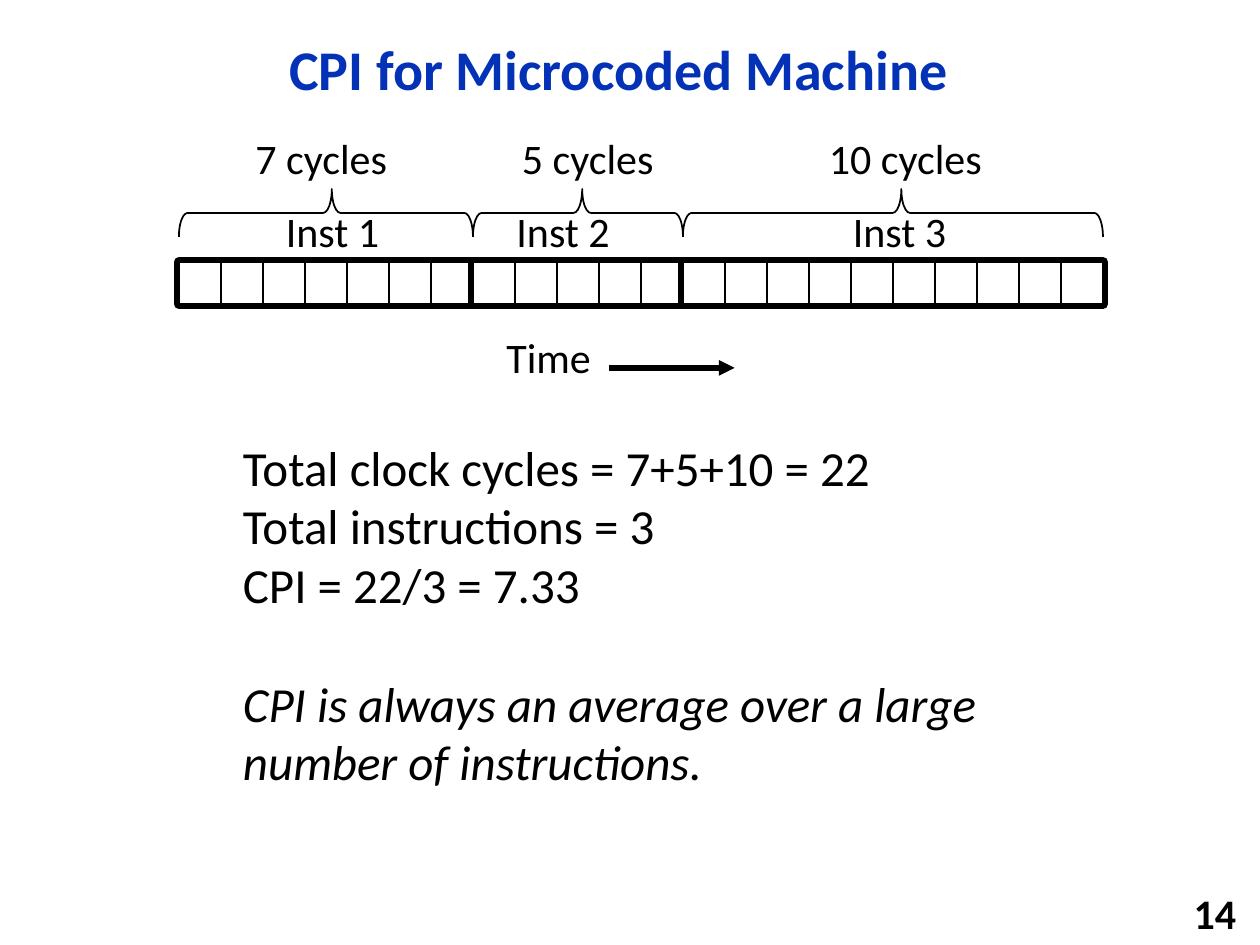
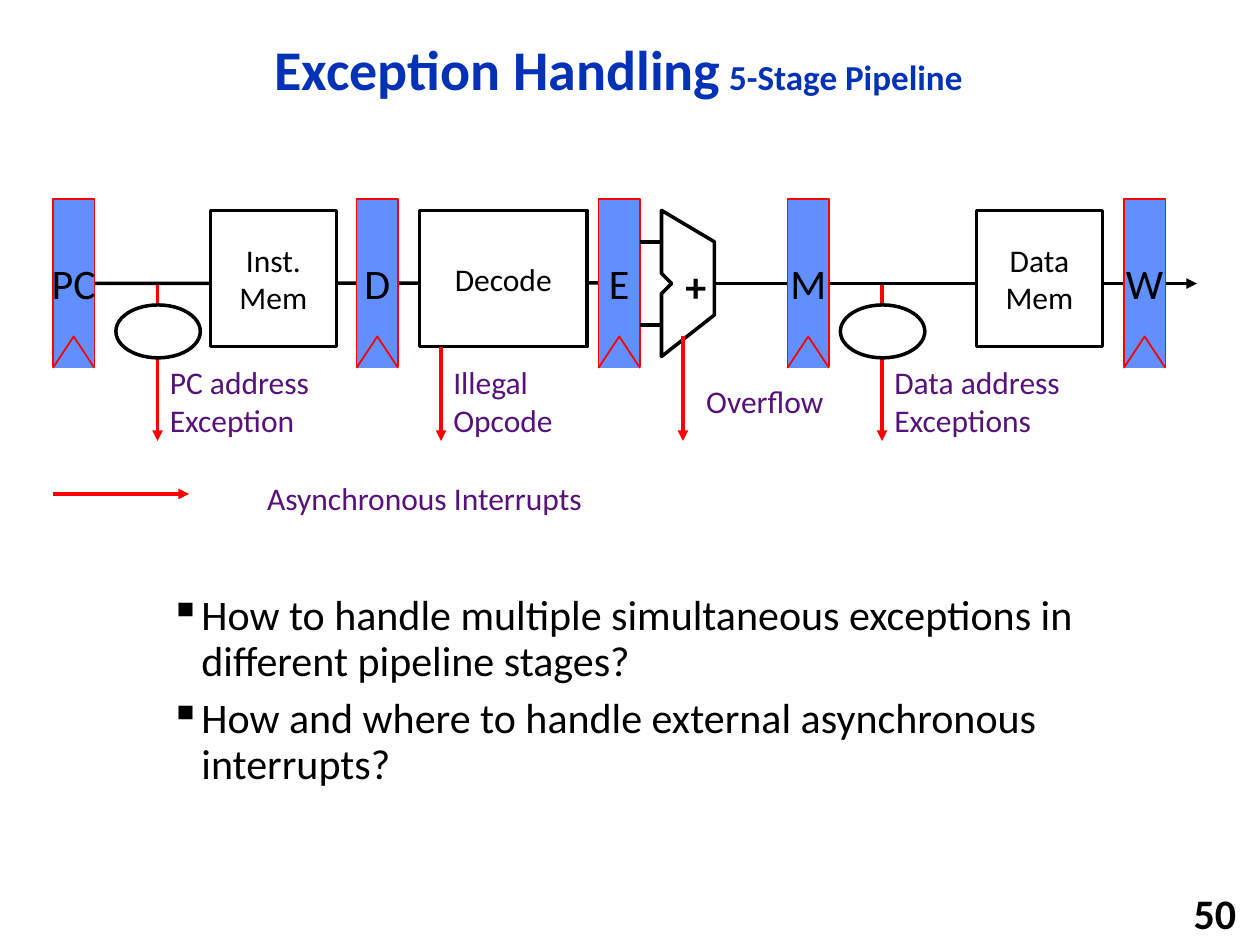
from lxml import etree
from pptx import Presentation
from pptx.dml.color import RGBColor
from pptx.enum.shapes import MSO_CONNECTOR, MSO_SHAPE
from pptx.enum.text import MSO_ANCHOR, PP_ALIGN
from pptx.oxml.ns import qn
from pptx.util import Inches, Pt

RECT, OVAL, BRACE = MSO_SHAPE.RECTANGLE, MSO_SHAPE.OVAL, MSO_SHAPE.LEFT_BRACE
STRAIGHT = MSO_CONNECTOR.STRAIGHT
LEFT, CENTER, RIGHT = PP_ALIGN.LEFT, PP_ALIGN.CENTER, PP_ALIGN.RIGHT
TOP, MIDDLE = MSO_ANCHOR.TOP, MSO_ANCHOR.MIDDLE
LEFT_SIDE = 1

BLACK = RGBColor(0x00, 0x00, 0x00)
WHITE = RGBColor(0xFF, 0xFF, 0xFF)
RED = RGBColor(0xFF, 0x00, 0x00)
TITLE_BLUE = RGBColor(0x03, 0x32, 0xB7)
REGISTER_BLUE = RGBColor(0x61, 0x8F, 0xFD)
PURPLE = RGBColor(0x56, 0x12, 0x7A)

FONT = "Calibri"
CYCLE = 1 / 3
TIMELINE_X, TIMELINE_Y = 1.42, 2.08
BRACE_H, BRACE_MID = 0.38, 1.69
REGISTER_W, REGISTER_TOP, REGISTER_H = 0.33, 1.58, 1.33
CLOCK_TOP, REGISTER_BOTTOM = 2.67, 2.92
WIRE_Y, EXCEPTION_Y = 2.25, 3.5


def set_attrs(obj, **values):
    for name, value in values.items():
        setattr(obj, name, value)


def add_run(p, text, size, color=BLACK, **values):
    r = p.add_run()
    r.text = text
    set_attrs(r.font, name=FONT, size=Pt(size), **values)
    r.font.color.rgb = color


def add_text(slide, box, text, size, color=BLACK, align=LEFT, anchor=TOP,
             wrap=True, **values):
    tf = slide.shapes.add_textbox(*map(Inches, box)).text_frame
    set_attrs(tf, word_wrap=wrap, vertical_anchor=anchor)
    p = tf.paragraphs[0]
    p.alignment = align
    if text:
        add_run(p, text, size, color, **values)
    return tf


def paint(sp, fill, line, width):
    sp.shadow.inherit = False
    sp.fill.solid()
    sp.fill.fore_color.rgb = fill
    sp.line.color.rgb = line
    sp.line.width = Pt(width)


def add_box(slide, box, kind=RECT, fill=WHITE, line=BLACK, width=1,
            text=None, size=18, wrap=True):
    sp = slide.shapes.add_shape(kind, *map(Inches, box))
    paint(sp, fill, line, width)
    if text:
        tf = sp.text_frame
        set_attrs(tf, word_wrap=wrap, vertical_anchor=MIDDLE)
        tf.paragraphs[0].alignment = CENTER
        add_run(tf.paragraphs[0], text, size)
    return sp


def add_outline(slide, points, fill, line, width, close):
    points = [(Inches(x), Inches(y)) for x, y in points]
    builder = slide.shapes.build_freeform(*points[0])
    builder.add_line_segments(points[1:], close=close)
    paint(builder.convert_to_shape(), fill, line, width)


def add_line(slide, x1, y1, x2, y2, color=BLACK, width=2, arrow=False):
    cx = slide.shapes.add_connector(STRAIGHT, *map(Inches, (x1, y1, x2, y2)))
    cx.line.color.rgb = color
    cx.line.width = Pt(width)
    spPr = cx._element.spPr
    if arrow:
        etree.SubElement(spPr.find(qn("a:ln")), qn("a:tailEnd"), type="triangle")
    etree.SubElement(spPr, qn("a:effectLst"))
    return cx


def add_bullet(p, mark):
    pPr = p._p.get_or_add_pPr()
    pPr.set("marL", str(Inches(0.25)))
    pPr.set("indent", str(-Inches(0.25)))
    etree.SubElement(pPr, qn("a:buChar"), char=mark)


def new_slide(prs, title, number, subtitle=None):
    slide = prs.slides.add_slide(prs.slide_layouts[5])
    sp = slide.shapes.title
    set_attrs(sp, left=Inches(0.92), top=Inches(0.17),
              width=Inches(7.98), height=Inches(0.81))
    tf = sp.text_frame
    set_attrs(tf, word_wrap=True, vertical_anchor=MIDDLE)
    p = tf.paragraphs[0]
    set_attrs(p, alignment=CENTER, line_spacing=0.9)
    add_run(p, title, 32, TITLE_BLUE, bold=True)
    if subtitle:
        add_run(p, " " + subtitle, 20, TITLE_BLUE, bold=True)
    add_text(slide, (7.83, 7.08, 2.08, 0.32), number, 24, align=RIGHT,
             anchor=MIDDLE, wrap=False, bold=True)
    return slide


def add_instruction(slide, x, cycles):
    width = cycles * CYCLE
    brace = add_box(slide, (x + (width - BRACE_H) / 2, BRACE_MID - width / 2,
                            BRACE_H, width), BRACE)
    brace.rotation = 90
    brace.adjustments[0] = 0.18
    brace.adjustments[1] = 0.48
    add_box(slide, (x, TIMELINE_Y, width, CYCLE), width=6)
    for i in range(cycles):
        add_box(slide, (x + i * CYCLE, TIMELINE_Y, CYCLE, CYCLE))
    return x + width


def add_register(slide, x, name):
    sp = add_box(slide, (x, REGISTER_TOP, REGISTER_W, REGISTER_H),
                 fill=REGISTER_BLUE, line=RED, text=name, size=24, wrap=False)
    clock = [(x, REGISTER_BOTTOM), (x + REGISTER_W / 2, CLOCK_TOP),
             (x + REGISTER_W, REGISTER_BOTTOM)]
    add_outline(slide, clock, REGISTER_BLUE, RED, 1, close=False)
    return sp


def add_exception(slide, x, y):
    add_line(slide, x, y, x, EXCEPTION_Y, RED, arrow=True)


def build_cpi(prs):
    slide = new_slide(prs, "CPI for Microcoded Machine", "14")
    x = TIMELINE_X
    for cycles in (7, 5, 10):
        x = add_instruction(slide, x, cycles)
    for i, left in enumerate((2.17, 4, 6.67), 1):
        add_text(slide, (left, 1.58, 0.95, 0.5), f"Inst {i}", 24, wrap=False)
    for cycles, left, width in ((7, 1.92, 1.26), (5, 3.83, 1.67), (10, 6.17, 2.03)):
        add_text(slide, (left, 1, width, 0.5), f"{cycles} cycles", 24, align=CENTER)
    add_text(slide, (3.92, 2.58, 0.88, 0.5), "Time", 24, wrap=False)
    add_line(slide, 4.83, 2.92, 5.83, 2.92, width=3, arrow=True)

    tf = add_text(slide, (1.83, 3.42, 6.75, 2.93),
                  "Total clock cycles = 7+5+10 = 22", 28)
    for text in ("Total instructions = 3", "CPI = 22/3 = 7.33"):
        add_run(tf.add_paragraph(), text, 28)
    p = tf.add_paragraph()
    p.space_before = Pt(34)
    add_run(p, "CPI is always an average over a large number of instructions.",
            28, italic=True)


def build_pipeline(prs):
    slide = new_slide(prs, "Exception Handling", "50", "5-Stage Pipeline")
    tf = add_text(slide, (1.25, 4.67, 7.55, 2), None, 24)
    questions = (
        "How to handle multiple simultaneous exceptions in different pipeline stages?",
        "How and where to handle external asynchronous interrupts?",
    )
    for i, text in enumerate(questions):
        p = tf.add_paragraph() if i else tf.paragraphs[0]
        p.line_spacing = 0.9
        if i:
            p.space_before = Pt(7)
        add_bullet(p, "▪")
        add_run(p, text, 24)

    for x in (1.25, 7):
        add_exception(slide, x, WIRE_Y)
    add_line(slide, 5.67, WIRE_Y, 9.5, WIRE_Y, arrow=True)
    fetch_wire = add_line(slide, 0.58, WIRE_Y, 4.75, WIRE_Y)

    for x, width, text in ((1.67, 1, "Inst. Mem"), (3.33, 1.33, "Decode"),
                           (7.75, 1, "Data Mem")):
        add_box(slide, (x, 1.67, width, 1.08), width=2, text=text)
    registers = {name: add_register(slide, x, name) for name, x in
                 (("PC", 0.42), ("D", 2.83), ("E", 4.75), ("M", 6.25), ("W", 8.92))}
    fetch_wire.end_connect(registers["E"], LEFT_SIDE)

    alu = [(5.25, 1.67), (5.25, 2.17), (5.33, 2.25), (5.25, 2.33),
           (5.25, 2.83), (5.67, 2.5), (5.67, 1.92)]
    add_outline(slide, alu, WHITE, BLACK, 2, close=True)
    for y in (1.92, 2.58):
        add_line(slide, 5.08, y, 5.25, y)
    add_text(slide, (5.34, 2.08, 0.31, 0.37), "+", 24, align=CENTER,
             anchor=MIDDLE, wrap=False, bold=True)

    for x in (0.92, 6.67):
        add_box(slide, (x, 2.42, 0.67, 0.42), OVAL, width=2)
    for x, width, text in ((1.25, 1.76, "PC address Exception"),
                           (3.5, 1.33, "Illegal Opcode"),
                           (7, 2, "Data address Exceptions")):
        add_text(slide, (x, 2.83, width, 0.7), text, 18, PURPLE, anchor=MIDDLE)
    add_text(slide, (5.5, 2.98, 1.14, 0.4), "Overflow", 18, PURPLE,
             align=CENTER, anchor=MIDDLE, wrap=False)
    add_exception(slide, 3.5, 2.75)
    add_exception(slide, 5.42, 2.67)

    add_line(slide, 0.42, 3.92, 1.5, 3.92, RED, arrow=True)
    add_text(slide, (1.58, 3.75, 3.58, 0.4), "Asynchronous Interrupts", 18,
             PURPLE, align=CENTER)


def main():
    prs = Presentation()
    set_attrs(prs, slide_width=Inches(10), slide_height=Inches(7.5))
    build_cpi(prs)
    build_pipeline(prs)
    prs.save("out.pptx")


if __name__ == "__main__":
    main()
